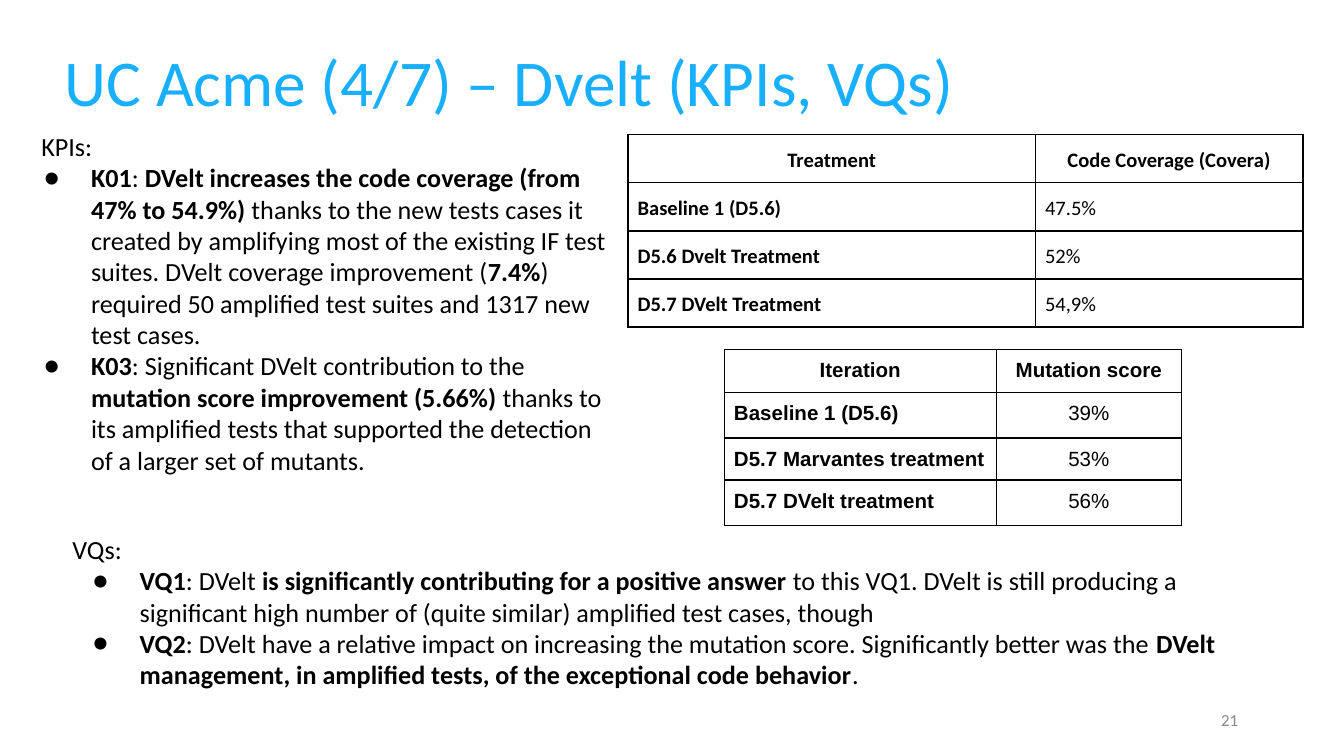
"""Build the DVelt KPI and validation question slide."""
from lxml.etree import SubElement
from pptx import Presentation
from pptx.dml.color import RGBColor
from pptx.enum.text import MSO_ANCHOR, MSO_AUTO_SIZE, PP_ALIGN
from pptx.oxml.ns import qn
from pptx.util import Cm, Pt

BLUE = RGBColor(0x19, 0xAF, 0xFF)
GREY = RGBColor(0x88, 0x88, 0x88)
BLACK = RGBColor(0, 0, 0)


def add_run(p, text, size, color=BLACK, bold=False, font="Calibri"):
    r = p.add_run()
    r.text = text
    r.font.name, r.font.size, r.font.bold = font, Pt(size), bold
    r.font.color.rgb = color


def place(sp, left, top, width, height, inset, anchor):
    sp.left, sp.top, sp.width, sp.height = Cm(left), Cm(top), Cm(width), Cm(height)
    tf = sp.text_frame
    tf.word_wrap = True
    tf.auto_size = MSO_AUTO_SIZE.NONE
    tf.vertical_anchor = anchor
    tf.margin_left = tf.margin_right = tf.margin_top = tf.margin_bottom = Cm(inset)
    return tf


prs = Presentation()
prs.slide_width, prs.slide_height = Cm(25.4), Cm(14.29)
s = prs.slides.add_slide(prs.slide_layouts[3])
title, kpis, vqs = s.placeholders

tf = place(title, 1.12, 0.48, 23.16, 2.06, 0.1, MSO_ANCHOR.MIDDLE)
p = tf.paragraphs[0]
p.alignment = PP_ALIGN.LEFT
add_run(p, "UC Acme (4/7) – Dvelt (KPIs, VQs)", 35, BLUE)

lists = [
    (kpis, (0.2, 2.21, 11.66, 6.83), 0.33, "KPIs:", [
        [("K01", True), (": ", False),
         ("DVelt increases the code coverage (from 47% to 54.9%) ", True),
         ("thanks to the new tests cases it created by amplifying most of the existing "
          "IF test suites. DVelt coverage improvement (", False),
         ("7.4%", True),
         (") required 50 amplified test suites and 1317 new test cases.", False)],
        [("K03", True), (": Significant DVelt contribution to the ", False),
         ("mutation score improvement (5.66%)", True),
         (" thanks to its amplified tests that supported the detection of a larger "
          "set of mutants.", False)],
    ]),
    (vqs, (1.12, 9.83, 23.52, 3.18), 0, "VQs:", [
        [("VQ1", True), (": DVelt ", False),
         ("is significantly contributing for a positive answer", True),
         (" to this VQ1. DVelt is still producing a significant high number of "
          "(quite similar) amplified test cases, though", False)],
        [("VQ2", True),
         (": DVelt have a relative impact on increasing the mutation score. "
          "Significantly better was the ", False),
         ("DVelt management, in amplified tests, of the exceptional code behavior", True),
         (".", False)],
    ]),
]
for sp, box, indent, heading, items in lists:
    tf = place(sp, *box, 0.25, MSO_ANCHOR.TOP)
    for i, runs in enumerate([[(heading, False)]] + items):
        p = tf.add_paragraph() if i else tf.paragraphs[0]
        p.space_before = Pt(0)
        pPr = p._p.get_or_add_pPr()
        pPr.set("marL", str(Cm(1.27 if i else indent)))
        pPr.set("indent", str(Cm(-0.89 if i else 0)))
        if i:
            SubElement(pPr, qn("a:buFont"), typeface="Calibri")
            SubElement(pPr, qn("a:buChar"), char="●")
        else:
            SubElement(pPr, qn("a:buNone"))
        for text, bold in runs:
            add_run(p, text, 14, bold=bold)

tables = [
    ((11.87, 2.54), (7.7, 5.05), (0.9, 0.9, 0.9, 0.9), "Calibri", 1.15, PP_ALIGN.LEFT, [
        ("Treatment", "Code Coverage (Covera)"),
        ("Baseline 1 (D5.6)", "47.5%"),
        ("D5.6 Dvelt Treatment", "52%"),
        ("D5.7 DVelt Treatment", "54,9%"),
    ]),
    ((13.69, 6.61), (5.14, 3.5), (0.81, 0.86, 0.79, 0.86), "Arial", 1.0, PP_ALIGN.CENTER, [
        ("Iteration", "Mutation score"),
        ("Baseline 1 (D5.6)", "39%"),
        ("D5.7 Marvantes treatment", "53%"),
        ("D5.7 DVelt treatment", "56%"),
    ]),
]
for (left, top), widths, heights, font, spacing, value_align, rows in tables:
    tbl = s.shapes.add_table(len(rows), len(widths), Cm(left), Cm(top),
                             Cm(sum(widths)), Cm(sum(heights))).table
    tbl.first_row = tbl.horz_banding = False
    for col, width in zip(tbl.columns, widths):
        col.width = Cm(width)
    for i, (height, row) in enumerate(zip(heights, rows)):
        tbl.rows[i].height = Cm(height)
        for j, text in enumerate(row):
            cell = tbl.cell(i, j)
            cell.margin_left = cell.margin_right = Cm(0.18)
            cell.margin_top = cell.margin_bottom = Cm(0.18)
            tcPr = cell._tc.get_or_add_tcPr()
            for side in ("lnL", "lnR", "lnT", "lnB"):
                ln = SubElement(tcPr, qn(f"a:{side}"), w=str(Pt(1)))
                fill = SubElement(ln, qn("a:solidFill"))
                SubElement(fill, qn("a:srgbClr"), val=str(BLACK))
            cell.fill.background()
            p = cell.text_frame.paragraphs[0]
            p.line_spacing = spacing
            p.alignment = PP_ALIGN.CENTER if i == 0 else value_align if j else PP_ALIGN.LEFT
            add_run(p, text, 11, bold=i == 0 or j == 0, font=font)

number = s.shapes.add_textbox(0, 0, 0, 0)
tf = place(number, 17.93, 13.23, 5.72, 0.76, 0.25, MSO_ANCHOR.MIDDLE)
tf.margin_top = tf.margin_bottom = Cm(0.13)
p = tf.paragraphs[0]
p.alignment = PP_ALIGN.RIGHT
add_run(p, "21", 9, GREY)

prs.save("out.pptx")
